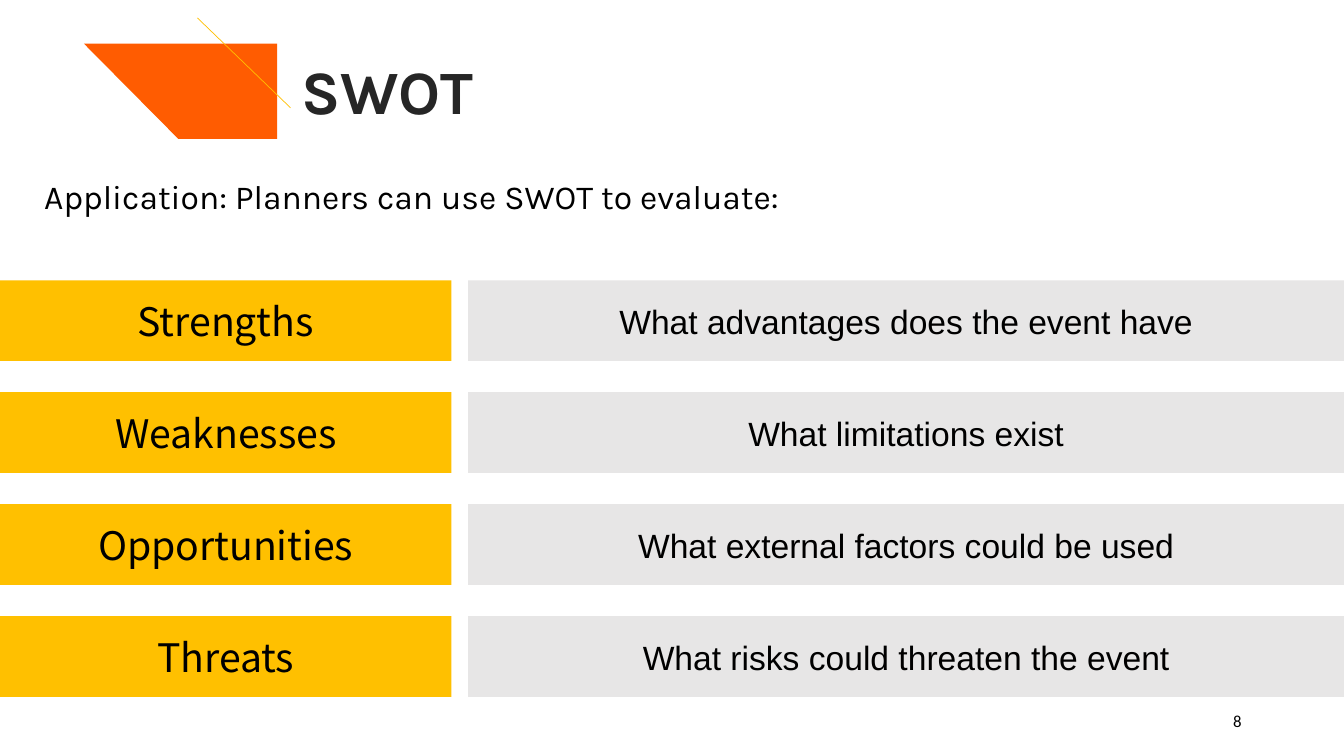
from pptx import Presentation
from pptx.dml.color import RGBColor
from pptx.enum.shapes import MSO_CONNECTOR, MSO_SHAPE
from pptx.enum.text import MSO_ANCHOR as ANCHOR, PP_ALIGN as ALIGN
from pptx.oxml.ns import qn
from pptx.util import Pt
from lxml import etree

ORANGE = RGBColor(0xFF, 0x5C, 0x01)
YELLOW = RGBColor(0xFF, 0xC0, 0x00)
GREY = RGBColor(0xE7, 0xE6, 0xE6)
DARK = RGBColor(0x26, 0x26, 0x26)
BLACK = RGBColor(0, 0, 0)


def write(sp, text, font, size, color=BLACK, align=ALIGN.LEFT,
          anchor=ANCHOR.TOP, bold=False):
    tf = sp.text_frame
    tf.word_wrap = True
    tf.vertical_anchor = anchor
    tf.text = text
    p = tf.paragraphs[0]
    p.alignment = align
    r = p.runs[0]
    r.font.name = font
    r.font.size = Pt(size)
    r.font.bold = bold
    r.font.color.rgb = color


def fill_plain(sp, color):
    sp.shadow.inherit = False
    sp.fill.solid()
    sp.fill.fore_color.rgb = color
    sp.line.fill.background()


prs = Presentation()
prs.slide_width, prs.slide_height = Pt(960), Pt(540)
s = prs.slides.add_slide(prs.slide_layouts[6])

# Title ornament
builder = s.shapes.build_freeform(Pt(127.4), Pt(99.2), scale=1.0)
builder.add_line_segments(
    [(Pt(x), Pt(y)) for x, y in [(60, 31.2), (198, 31.2), (198, 99.2)]])
ornament = builder.convert_to_shape()
fill_plain(ornament, ORANGE)

accent = s.shapes.add_connector(
    MSO_CONNECTOR.STRAIGHT, Pt(141), Pt(12.8), Pt(207.5), Pt(77))
accent.line.color.rgb = YELLOW
accent.line.width = Pt(0.5)
etree.SubElement(accent._element.spPr, qn("a:effectLst"))

# Title and lead-in
title = s.shapes.add_textbox(Pt(208), Pt(34.6), Pt(309.6), Pt(60.5))
write(title, "SWOT", "Karla", 44, DARK, bold=True)
lead = s.shapes.add_textbox(Pt(24.5), Pt(122.4), Pt(565.2), Pt(36))
write(lead, "Application: Planners can use SWOT to evaluate:", "Karla", 24)

# SWOT rows: label on the left, question on the right
ROWS = [
    ("Strengths", "What advantages does the event have"),
    ("Weaknesses", "What limitations exist"),
    ("Opportunities", "What external factors could be used"),
    ("Threats", "What risks could threaten the event"),
]
ROW_TOP, ROW_PITCH, ROW_HEIGHT = 200.2, 80, 57.6
COLUMNS = [
    (0, 322.4, YELLOW, "Noto Sans CJK JP", 28),
    (334.5, 625.5, GREY, "Arial", 24),
]
for i, row in enumerate(ROWS):
    top = ROW_TOP + i * ROW_PITCH
    for text, (left, width, color, font, size) in zip(row, COLUMNS):
        sp = s.shapes.add_shape(
            MSO_SHAPE.RECTANGLE, Pt(left), Pt(top), Pt(width), Pt(ROW_HEIGHT))
        fill_plain(sp, color)
        write(sp, text, font, size, align=ALIGN.CENTER, anchor=ANCHOR.MIDDLE)

# Slide number
number = s.shapes.add_textbox(Pt(678), Pt(500.5), Pt(216), Pt(28.8))
write(number, "8", "Calibri", 12, align=ALIGN.RIGHT, anchor=ANCHOR.MIDDLE)

prs.save("out.pptx")
